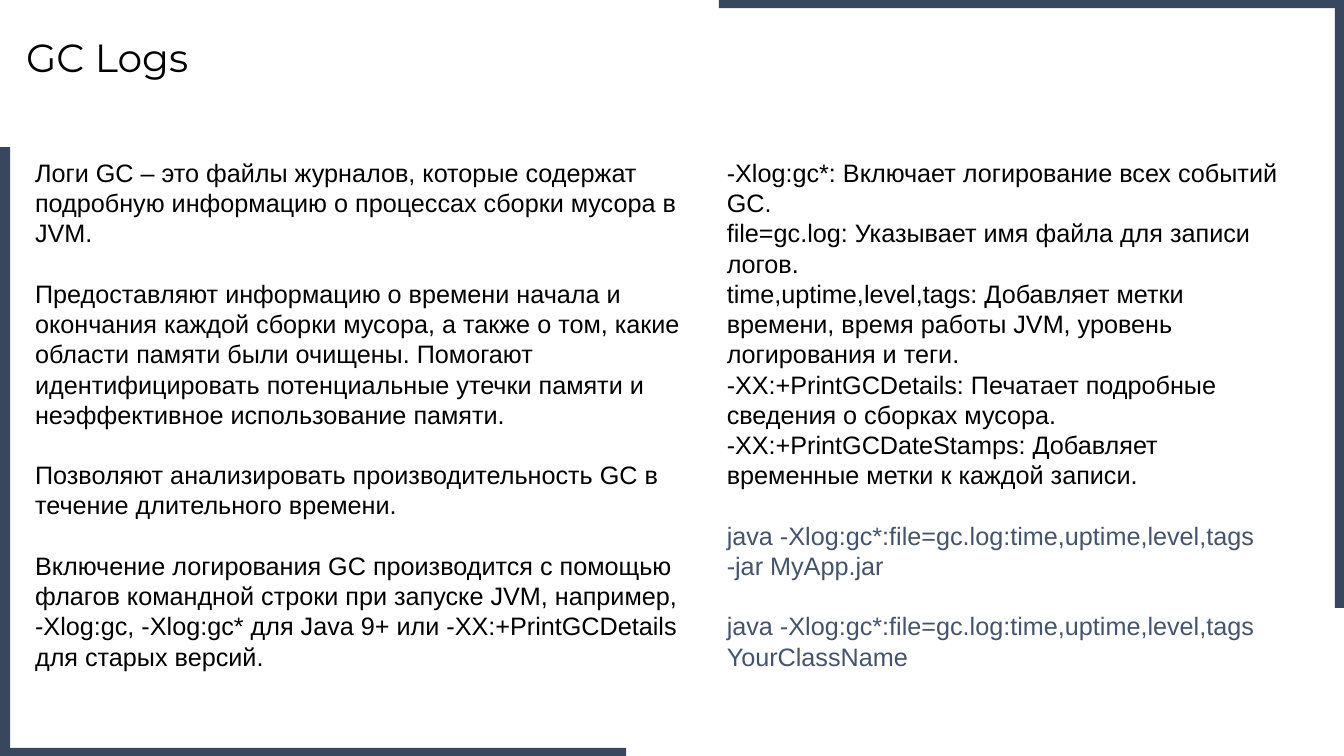
"""Build the "GC Logs" slide: a title, four edge bars and two text columns."""
from dataclasses import dataclass

from pptx import Presentation
from pptx.dml.color import RGBColor
from pptx.enum import shapes, text
from pptx.util import Inches, Pt

BLACK, SLATE, NAVY = "000000", "44546A", "38475E"
LINE = Pt(21.6)
BAR_LONG, BAR_THIN = 6.11, 0.16


@dataclass
class Bar:
    left: float
    top: float
    width: float
    height: float


@dataclass
class Para:
    words: str
    gap: bool = False
    color: str = BLACK


@dataclass
class Column:
    left: float
    width: float
    paras: list[Para]


BARS = [
    Bar(-0.06, 1.46, BAR_THIN, BAR_LONG),
    Bar(0.1, 7.42, BAR_LONG, BAR_THIN),
    Bar(13.24, -0.08, BAR_THIN, BAR_LONG),
    Bar(7.13, -0.08, BAR_LONG, BAR_THIN),
]

COLUMNS = [
    Column(0.25, 6.73, [
        Para("Логи GC – это файлы журналов, которые содержат подробную "
             "информацию о процессах сборки мусора в JVM."),
        Para("Предоставляют информацию о времени начала и окончания каждой "
             "сборки мусора, а также о том, какие области памяти были очищены. "
             "Помогают идентифицировать потенциальные утечки памяти и "
             "неэффективное использование памяти.", gap=True),
        Para("Позволяют анализировать производительность GC в течение "
             "длительного времени.", gap=True),
        Para("Включение логирования GC производится с помощью флагов командной "
             "строки при запуске JVM, например, -Xlog:gc, -Xlog:gc* для Java 9+ "
             "или -XX:+PrintGCDetails для старых версий.", gap=True),
    ]),
    Column(7.11, 5.72, [
        Para("-Xlog:gc*: Включает логирование всех событий GC."),
        Para("file=gc.log: Указывает имя файла для записи логов."),
        Para("time,uptime,level,tags: Добавляет метки времени, время работы "
             "JVM, уровень логирования и теги."),
        Para("-XX:+PrintGCDetails: Печатает подробные сведения о сборках мусора."),
        Para("-XX:+PrintGCDateStamps: Добавляет временные метки к каждой записи."),
        Para("java -Xlog:gc*:file=gc.log:time,uptime,level,tags -jar MyApp.jar",
             gap=True, color=SLATE),
        Para("java -Xlog:gc*:file=gc.log:time,uptime,level,tags YourClassName",
             gap=True, color=SLATE),
    ]),
]


def rgb(value: str) -> RGBColor:
    return RGBColor.from_string(value)


def set_all(target, **values) -> None:
    for name, value in values.items():
        setattr(target, name, value)


def add_title(s, words: str) -> None:
    sp = s.shapes.title
    set_all(sp, left=Inches(0.16), top=Inches(0.28), width=Inches(8.26), height=Inches(0.57))
    tf = sp.text_frame
    set_all(tf, text=words, word_wrap=True, vertical_anchor=text.MSO_ANCHOR.TOP,
            auto_size=text.MSO_AUTO_SIZE.NONE)
    p = tf.paragraphs[0]
    p.alignment = text.PP_ALIGN.LEFT
    r = p.runs[0]
    set_all(r.font, name="Montserrat", size=Pt(28))
    r.font.color.rgb = rgb(BLACK)


def add_bar(s, bar: Bar) -> None:
    sp = s.shapes.add_shape(shapes.MSO_SHAPE.RECTANGLE, Inches(bar.left), Inches(bar.top),
                            Inches(bar.width), Inches(bar.height))
    sp.shadow.inherit = False
    sp.fill.solid()
    sp.fill.fore_color.rgb = rgb(NAVY)
    sp.line.fill.background()


def add_column(s, column: Column) -> None:
    sp = s.shapes.add_textbox(Inches(column.left), Inches(1.51),
                              Inches(column.width), Inches(5.25))
    tf = sp.text_frame
    tf.word_wrap = True
    for i, para in enumerate(column.paras):
        p = tf.add_paragraph() if i else tf.paragraphs[0]
        p.line_spacing = LINE
        if para.gap:
            p.space_before = LINE
        r = p.add_run()
        r.text = para.words
        set_all(r.font, name="Arial", size=Pt(18))
        r.font.color.rgb = rgb(para.color)


def main() -> None:
    prs = Presentation()
    set_all(prs, slide_width=Inches(13.33), slide_height=Inches(7.5))
    s = prs.slides.add_slide(prs.slide_layouts[5])
    add_title(s, "GC Logs")
    for bar in BARS:
        add_bar(s, bar)
    for column in COLUMNS:
        add_column(s, column)
    prs.save("out.pptx")


if __name__ == "__main__":
    main()
